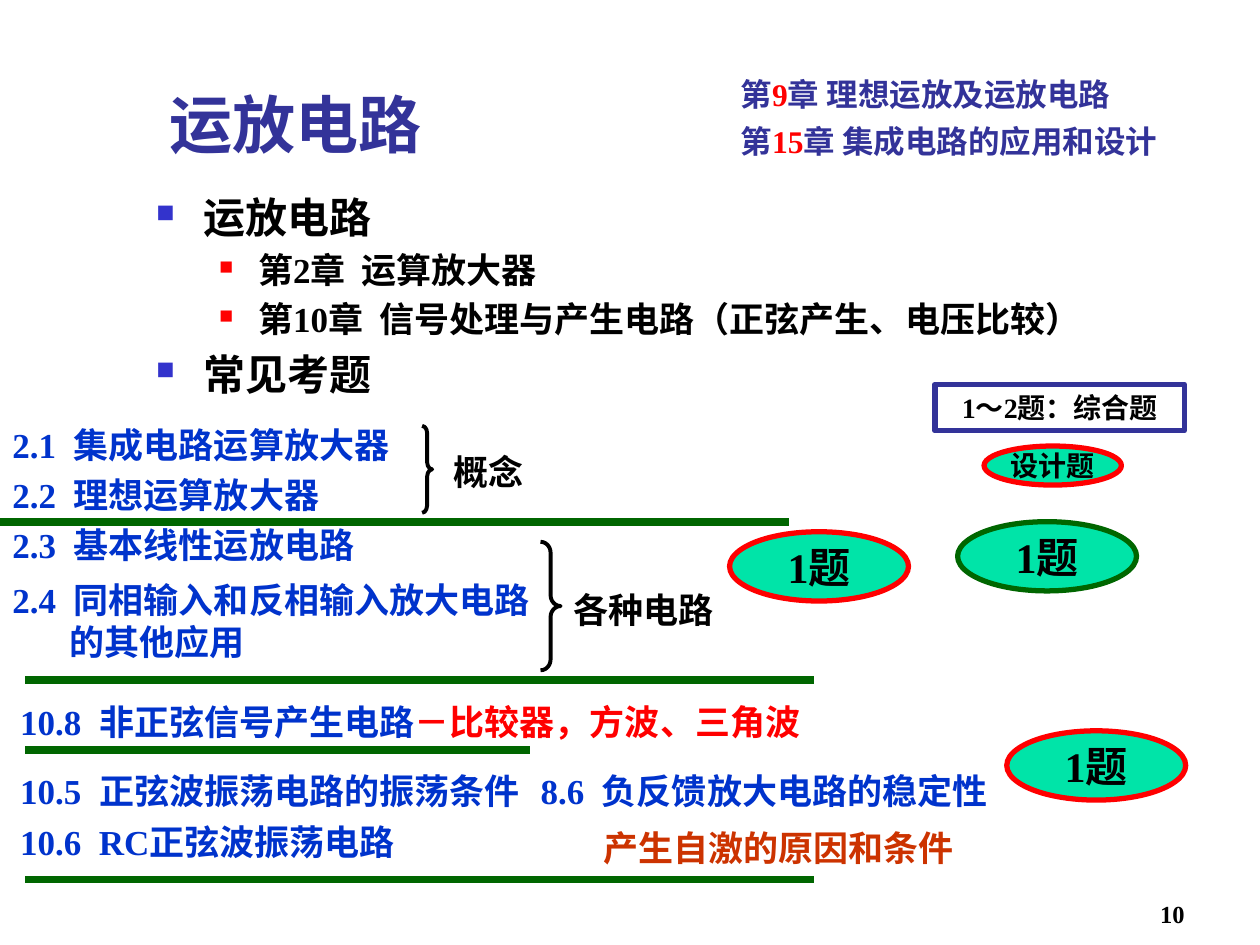
from lxml.etree import SubElement
from pptx import Presentation
from pptx.dml.color import RGBColor
from pptx.enum.shapes import MSO_CONNECTOR, MSO_SHAPE
from pptx.enum.text import MSO_ANCHOR as Anchor, PP_ALIGN as Align
from pptx.oxml.ns import qn
from pptx.util import Inches, Pt

FONT = "Times New Roman"
BLACK = RGBColor(0x00, 0x00, 0x00)
NAVY = RGBColor(0x33, 0x33, 0x99)
BLUE = RGBColor(0x00, 0x33, 0xCC)
VIOLET = RGBColor(0x33, 0x33, 0xCC)
RED = RGBColor(0xFF, 0x00, 0x00)
RUST = RGBColor(0xCC, 0x33, 0x00)
GREEN = RGBColor(0x00, 0x66, 0x00)
MINT = RGBColor(0x00, 0xE4, 0xA8)

OUTLINE = [
    (0, "运放电路"),
    (1, "第2章  运算放大器"),
    (1, "第10章  信号处理与产生电路（正弦产生、电压比较）"),
    (0, "常见考题"),
]
LEVELS = [
    dict(size=24, left=0.38, hang=0.38, color=VIOLET, scale=60),
    dict(size=20, left=0.81, hang=0.31, color=RED, scale=55),
]
CHAPTERS = [("9", "章 理想运放及运放电路"), ("15", "章 集成电路的应用和设计")]
CONCEPTS = ["2.1  集成电路运算放大器", "2.2  理想运算放大器", "2.3  基本线性运放电路"]
APPLICATION = ["2.4  同相输入和反相输入放大电路", "的其他应用"]
SIGNALS = [
    (0.16, 5.56, 6.5, [("10.8  非正弦信号产生电路", BLUE), ("－比较器，方波、三角波", RED)]),
    (0.16, 6.11, 4.87, [("10.5  正弦波振荡电路的振荡条件", BLUE)]),
    (0.16, 6.51, 4.63, [("10.6  RC正弦波振荡电路", BLUE)]),
    (4.29, 6.11, 5.53, [("8.6  负反馈放大电路的稳定性", BLUE)]),
]
BRACES = [(4.29, 4.3, 0.16, 1.02, 0.54), (3.35, 3.38, 0.08, 0.69, 0.72)]
BRACE_LABELS = [(3.5, 3.53, 1.18, "概念"), (4.45, 4.62, 1.73, "各种电路")]
RULES = [(0, 4.14, 6.26), (0.2, 5.4, 6.26), (0.2, 6.98, 6.26), (0.2, 5.95, 4.01)]
BADGES = [
    (5.79, 4.22, 1.42, 0.55, RED, "1题", 24),
    (7.6, 4.14, 1.42, 0.55, GREEN, "1题", 24),
    (7.99, 5.8, 1.42, 0.55, RED, "1题", 24),
    (7.81, 3.54, 1.09, 0.31, RED, "设计题", 16),
]

deck = Presentation()
deck.slide_width, deck.slide_height = Inches(10), Inches(7.5)
page = deck.slides.add_slide(deck.slide_layouts[6])


def style(para, size, color=BLACK, align=Align.LEFT):
    para.alignment = align
    para.font.name, para.font.size, para.font.bold = FONT, Pt(size), True
    para.font.color.rgb = color


def add_text(left, top, width, height, spans, size, align=Align.LEFT,
             anchor=Anchor.TOP, inset=True):
    frame = page.shapes.add_textbox(*map(Inches, (left, top, width, height))).text_frame
    frame.word_wrap = True
    frame.vertical_anchor = anchor
    if not inset:
        frame.margin_left = frame.margin_right = frame.margin_top = frame.margin_bottom = 0
    para = frame.paragraphs[0]
    style(para, size, spans[0][1], align)
    for text, color in spans:
        span = para.add_run()
        span.text = text
        if len(spans) > 1:
            span.font.color.rgb = color
    return frame


def add_shape(kind, left, top, width, height, line, weight, fill=None):
    shape = page.shapes.add_shape(kind, *map(Inches, (left, top, width, height)))
    shape.shadow.inherit = False
    shape.line.color.rgb, shape.line.width = line, Pt(weight)
    if fill is None:
        shape.fill.background()
    else:
        shape.fill.solid()
        shape.fill.fore_color.rgb = fill
    return shape


def label(shape, text, size):
    frame = shape.text_frame
    frame.margin_left = frame.margin_right = frame.margin_top = frame.margin_bottom = 0
    frame.word_wrap = False
    frame.vertical_anchor = Anchor.MIDDLE
    frame.text = text
    style(frame.paragraphs[0], size, align=Align.CENTER)


def indent(para, left, hang=0):
    props = para._p.get_or_add_pPr()
    props.set("marL", str(Inches(left)))
    props.set("indent", str(-Inches(hang)))
    return props


def add_bullet(para, left, hang, color, scale):
    props = indent(para, left, hang)
    SubElement(SubElement(props, qn("a:buClr")), qn("a:srgbClr"), val=str(color))
    SubElement(props, qn("a:buSzPct"), val=str(scale * 1000))
    SubElement(props, qn("a:buChar"), char="■")


add_text(7.42, 6.92, 2.08, 0.5, [("10", BLACK)], 14, Align.RIGHT, Anchor.BOTTOM)
add_text(1.25, 0.08, 8.53, 1.25, [("运放电路", NAVY)], 36, anchor=Anchor.BOTTOM)

body = page.shapes.add_textbox(*map(Inches, (1.14, 1.47, 7.72, 2.79))).text_frame
body.word_wrap = True
for index, (depth, text) in enumerate(OUTLINE):
    level = LEVELS[depth]
    para = body.add_paragraph() if index else body.paragraphs[0]
    para.text = text
    para.level = depth
    add_bullet(para, level["left"], level["hang"], level["color"], level["scale"])
    style(para, level["size"])
    if index:
        para.space_before = Pt(level["size"] * 0.2)

for index, text in enumerate(CONCEPTS):
    frame = add_text(0, 3.35 + index * 0.395, 4.72, 0.4, [(text, BLUE)], 20)
    frame.paragraphs[0].line_spacing = 0.9

frame = add_text(0, 4.54, 4.69, 0.77, [(APPLICATION[0], BLUE)], 20)
para = frame.add_paragraph()
para.text = APPLICATION[1]
indent(para, 0.45)
style(para, 20, BLUE)

for *place, bend in BRACES:
    brace = add_shape(MSO_SHAPE.RIGHT_BRACE, *place, BLACK, 2.25)
    brace.adjustments[0] = bend
for left, top, width, text in BRACE_LABELS:
    add_text(left, top, width, 0.43, [(text, BLACK)], 20)

for left, top, width, spans in SIGNALS:
    add_text(left, top, width, 0.33, spans, 20, anchor=Anchor.MIDDLE, inset=False)
add_text(4.69, 6.51, 4.41, 0.43, [("产生自激的原因和条件", RUST)], 20, anchor=Anchor.MIDDLE)

for left, top, width in RULES:
    rule = page.shapes.add_connector(
        MSO_CONNECTOR.STRAIGHT, *map(Inches, (left, top, left + width, top)))
    rule.line.color.rgb, rule.line.width = GREEN, Pt(4.5)
    SubElement(rule._element.spPr, qn("a:effectLst"))

for index, (number, name) in enumerate(CHAPTERS):
    add_text(5.78, 0.55 + index * 0.37, 4.06, 0.4,
             [("第", NAVY), (number, RED), (name, NAVY)], 18)

for *place, edge, text, size in BADGES:
    label(add_shape(MSO_SHAPE.OVAL, *place, edge, 3, MINT), text, size)
label(add_shape(MSO_SHAPE.RECTANGLE, 7.42, 3.05, 1.98, 0.37, NAVY, 3), "1～2题：综合题", 16)

deck.save("out.pptx")
